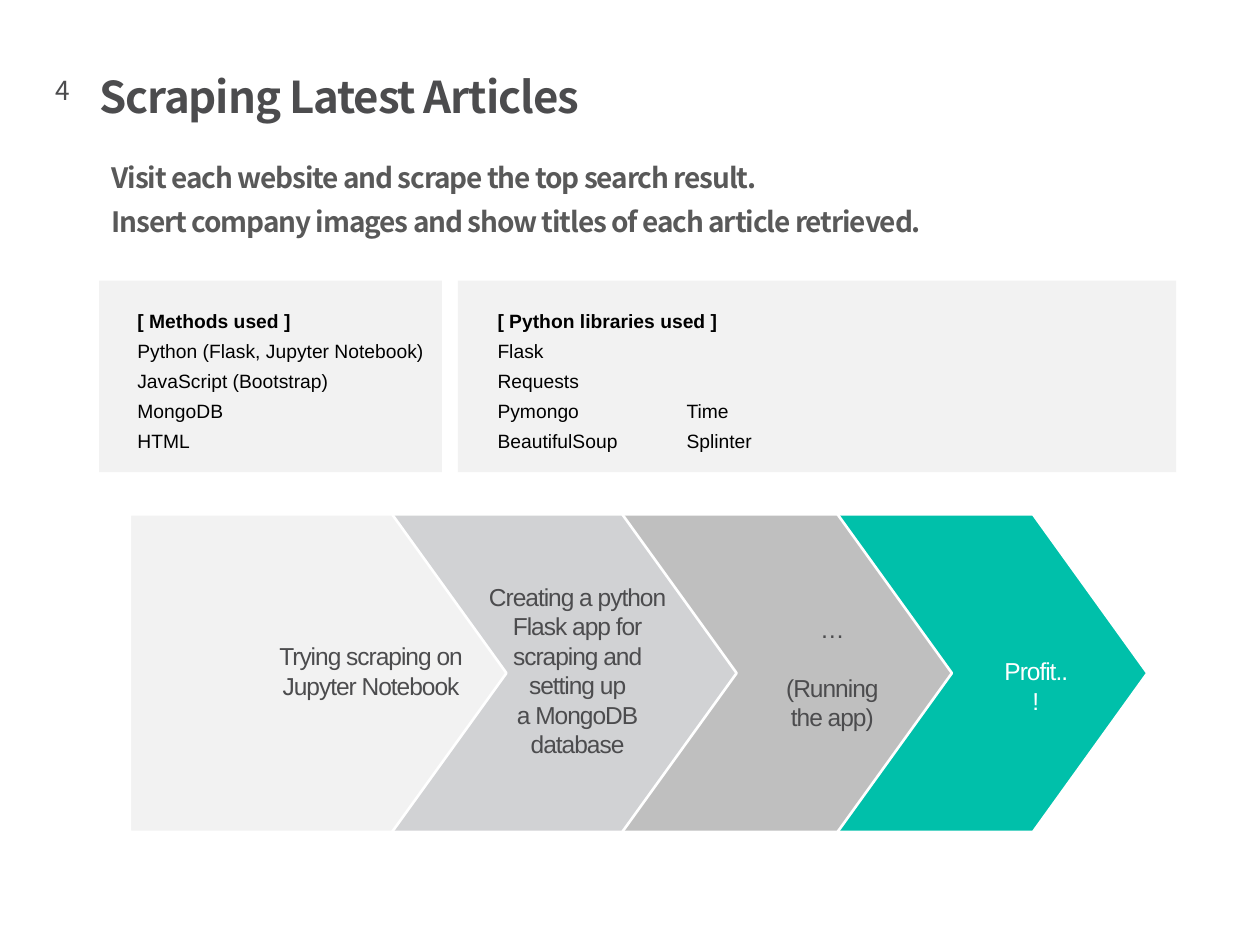
import pptx
import pptx.util
import pptx.dml.color
import pptx.enum.shapes
import pptx.enum.text
import lxml.etree

Cm = pptx.util.Cm
Pt = pptx.util.Pt
kinds = pptx.enum.shapes.MSO_SHAPE
aligns = pptx.enum.text.PP_ALIGN
hue = pptx.dml.color.RGBColor.from_string
sans = "Noto Sans CJK KR"

deck = pptx.Presentation()
deck.slide_width = Cm(25.4)
deck.slide_height = Cm(19.05)
slide = deck.slides.add_slide(deck.slide_layouts[6])


def write(area, text, font, size, color, bold=False, tight=False,
          gap=None, align=aligns.LEFT, inset=(0, 0, 0, 0)):
    box = slide.shapes.add_textbox(*[Cm(n) for n in area])
    frame = box.text_frame
    frame.word_wrap = True
    (frame.margin_left, frame.margin_top,
     frame.margin_right, frame.margin_bottom) = [Cm(n) for n in inset]
    frame.text = text
    for line in frame.paragraphs:
        line.alignment = align
        if gap:
            line.line_spacing = gap
        for run in line.runs:
            run.font.name = font
            run.font.size = Pt(size)
            run.font.bold = bold
            run.font.color.rgb = hue(color)
            if tight:
                run.font._element.set("spc", "-60")
    return frame


def draw(kind, area, fill):
    shape = slide.shapes.add_shape(kind, *[Cm(n) for n in area])
    shape.shadow.inherit = False
    shape.fill.solid()
    shape.fill.fore_color.rgb = hue(fill)
    shape.line.fill.background()
    return shape


write((2.0, 1.52, 21.41, 1.22), "Scraping Latest Articles", sans, 25, "4C4C4E",
      bold=True, tight=True, gap=0.9)
write((1.12, 1.52, 0.89, 1.22), "4", sans, 15, "4C4C4E", gap=0.9,
      inset=(0, 0.05, 0, 0))
write((2.0, 2.91, 21.69, 1.93),
      "Visit each website and scrape the top search result.\n"
      "Insert company images and show titles of each article retrieved.",
      sans, 16, "595959", bold=True, tight=True, gap=1.3,
      inset=(0.25, 0.13, 0.25, 0.13))

panels = [
    (9.23, 14.48, 10.03, 5.69,
     "[ Python libraries used ]\nFlask\nRequests\nPymongo\tTime\nBeautifulSoup\tSplinter"),
    (2.0, 6.91, 2.77, 6.17,
     "[ Methods used ]\nPython (Flask, Jupyter Notebook)\nJavaScript (Bootstrap)\nMongoDB\nHTML"),
]
for left, width, start, span, text in panels:
    draw(kinds.RECTANGLE, (left, 5.66, width, 3.86), "F2F2F2")
    frame = write((start, 5.97, span, 3.25), text, "Arial", 11, "000000",
                  gap=1.3, inset=(0, 0.13, 0.25, 0.13))
    frame.paragraphs[0].runs[0].font.bold = True
    for line in frame.paragraphs:
        if "\t" in line.text:
            props = line._p.get_or_add_pPr()
            space = "{" + props.nsmap["a"] + "}"
            tabs = lxml.etree.SubElement(props, space + "tabLst")
            lxml.etree.SubElement(tabs, space + "tab", pos=str(Cm(3.81)), algn="l")

steps = [
    (kinds.CHEVRON, 13.87, 9.26, "00C0AA"),
    (kinds.CHEVRON, 9.93, 9.26, "BFBFBF"),
    (kinds.CHEVRON, 5.59, 9.26, "D1D2D4"),
    (kinds.PENTAGON, 2.62, 7.59, "F2F2F2"),
]
for kind, left, width, fill in steps:
    arrow = draw(kind, (left, 10.37, width, 6.4), fill)
    arrow.adjustments[0] = 0.36
    arrow.line.color.rgb = hue("FFFFFF")
    arrow.line.width = Pt(1.5)

labels = [
    (5.56, 12.93, 3.84, 1.19, "4C4C4E", "Trying scraping on\nJupyter Notebook"),
    (9.78, 11.73, 3.73, 3.58, "4C4C4E",
     "Creating a python\nFlask app for\nscraping and\nsetting up\na MongoDB\ndatabase"),
    (15.68, 12.37, 2.2, 2.39, "4C4C4E", "…\n(Running\nthe app)"),
    (20.22, 13.23, 1.32, 1.19, "FFFFFF", "Profit..!"),
]
for left, top, width, height, color, text in labels:
    frame = write((left, top, width, height), text, "Arial", 14, color,
                  tight=True, align=aligns.CENTER)
    if text.startswith("…"):
        frame.paragraphs[1].space_before = Pt(17)

deck.save("out.pptx")
